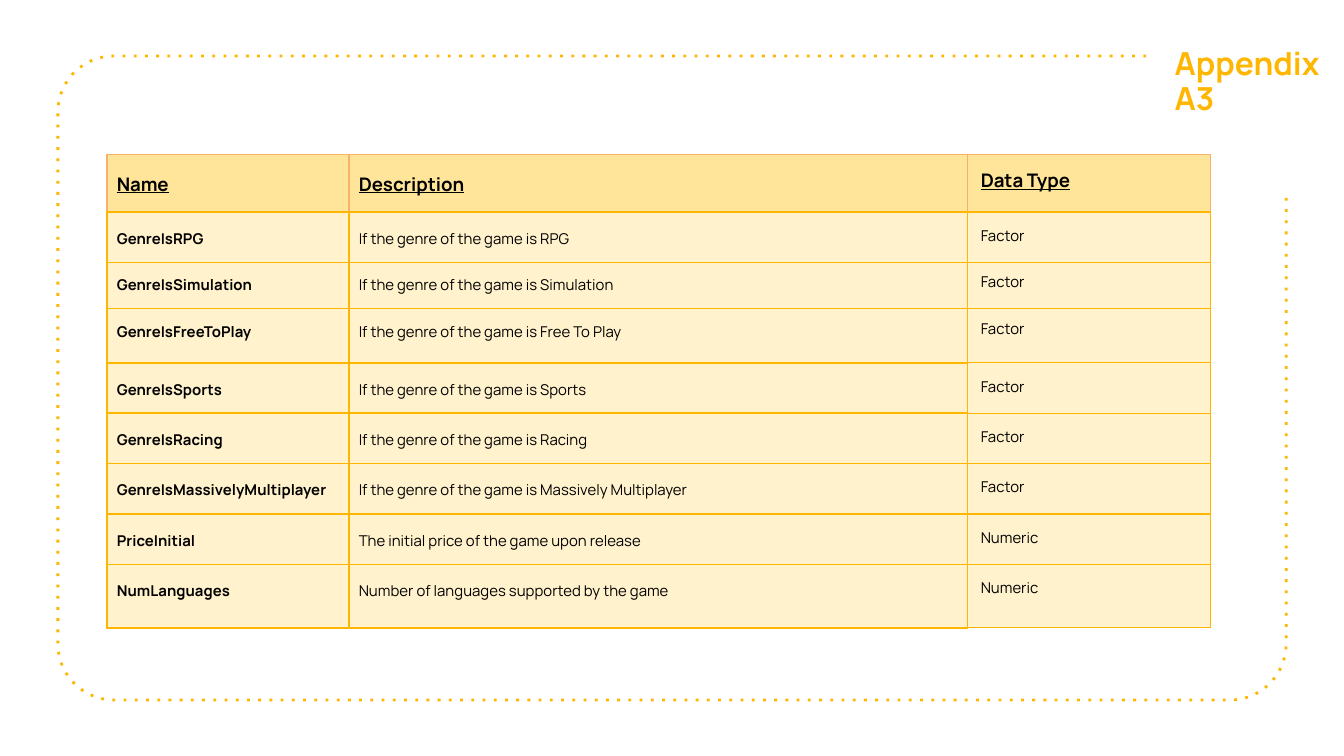
import math

from lxml import etree
from pptx import Presentation
from pptx.dml.color import RGBColor
from pptx.enum import dml, text
from pptx.oxml import ns
from pptx.util import Pt

COLORS = {
    "gold": "FFB600",
    "orange": "F6B26B",
    "header": "FFE599",
    "cream": "FFF2CC",
    "black": "000000",
}
FONT = "Manrope"
COLUMNS = (129.6, 331.2, 130.3)
TABLE_LEFT = 57.4

HEADER = [("Name", "Description", "Data Type")]
RPG = [("GenreIsRPG", "If the genre of the game is RPG", "Factor")]
SIMULATION = [("GenreIsSimulation", "If the genre of the game is Simulation", "Factor")]
VARIABLES = [
    ("GenreIsFreeToPlay", "If the genre of the game is Free To Play", "Factor"),
    ("GenreIsSports", "If the genre of the game is Sports", "Factor"),
    ("GenreIsRacing", "If the genre of the game is Racing", "Factor"),
    ("GenreIsMassivelyMultiplayer",
     "If the genre of the game is Massively Multiplayer", "Factor"),
    ("PriceInitial", "The initial price of the game upon release", "Numeric"),
    ("NumLanguages", "Number of languages supported by the game", "Numeric"),
]


def rgb(name):
    return RGBColor.from_string(COLORS[name])


def style_font(font, size, color, bold, underline=False):
    font.name, font.size = FONT, Pt(size)
    font.bold, font.underline = bold, underline
    font.color.rgb = rgb(color)


def add_frame(s, left, top, width, height, radius=30, top_end=614, right_start=105):
    """Dotted rounded frame, open at its top right corner."""
    right, bottom = left + width, top + height
    corners = [
        (left + radius, top + radius, 270),
        (left + radius, bottom - radius, 180),
        (right - radius, bottom - radius, 90),
    ]
    points = []
    for cx, cy, start in corners:
        for step in range(0, 91, 6):
            angle = math.radians(start - step)
            points.append((Pt(cx + radius * math.cos(angle)),
                           Pt(cy + radius * math.sin(angle))))
    points.append((Pt(right), Pt(right_start)))
    builder = s.shapes.build_freeform(Pt(top_end), Pt(top))
    builder.add_line_segments(points, close=False)
    frame = builder.convert_to_shape()
    frame.shadow.inherit = False
    frame.fill.background()
    frame.line.color.rgb = rgb("gold")
    frame.line.width = Pt(1.5)
    frame.line.dash_style = dml.MSO_LINE.ROUND_DOT
    frame._element.find(".//" + ns.qn("a:prstDash")).set("val", "dot")


def add_title(s, left, top, width, height):
    title = s.shapes.title
    title.left, title.top, title.width, title.height = map(Pt, (left, top, width, height))
    tf = title.text_frame
    tf.text = "Appendix A3"
    tf.word_wrap = True
    tf.auto_size = text.MSO_AUTO_SIZE.NONE
    tf.vertical_anchor = text.MSO_ANCHOR.TOP
    tf.margin_left = tf.margin_right = tf.margin_top = tf.margin_bottom = Pt(7.2)
    p = tf.paragraphs[0]
    p.alignment = text.PP_ALIGN.LEFT
    p.line_spacing = 0.9
    style_font(p.runs[0].font, 17, "gold", True)


def set_borders(cell, color, widths):
    """Border widths run left, right, top, bottom."""
    tcPr = cell._tc.get_or_add_tcPr()
    for side, width in zip("LRTB", widths):
        ln = etree.SubElement(tcPr, ns.qn(f"a:ln{side}"), w=str(Pt(width)))
        fill = etree.SubElement(ln, ns.qn("a:solidFill"))
        etree.SubElement(fill, ns.qn("a:srgbClr"), val=COLORS[color])


def add_variable_table(s, left, top, rows, heights, header=False):
    table = s.shapes.add_table(len(rows), len(COLUMNS), Pt(left), Pt(top),
                               Pt(sum(COLUMNS)), Pt(sum(heights))).table
    table.first_row = table.horz_banding = False
    for column, width in zip(table.columns, COLUMNS):
        column.width = Pt(width)
    for r, (values, height) in enumerate(zip(rows, heights)):
        table.rows[r].height = Pt(height)
        for c, value in enumerate(values):
            cell = table.cell(r, c)
            is_type = c == 2
            set_borders(cell, "orange" if header else "gold",
                        (1, 0.75, 0.75, 0.75) if is_type else (1, 1, 1, 1))
            cell.fill.solid()
            cell.fill.fore_color.rgb = rgb("header" if header else "cream")
            cell.margin_left = cell.margin_right = Pt(7.2 if is_type else 5.2)
            cell.margin_top = cell.margin_bottom = Pt(7.2)
            cell.text_frame.text = value
            p = cell.text_frame.paragraphs[0]
            if not is_type:
                p.line_spacing = 1.15
            style_font(p.runs[0].font, 10 if header else 8, "black",
                       header or c == 0, header)


def main():
    prs = Presentation()
    prs.slide_width, prs.slide_height = Pt(720), Pt(405)
    s = prs.slides.add_slide(prs.slide_layouts[5])

    # Frame and title
    add_frame(s, 31, 30, 658, 345)
    add_title(s, 622, 18.7, 96.5, 38)

    # Stacked tables, from back to front
    add_variable_table(s, TABLE_LEFT, 163.4, VARIABLES, (31, 26, 26, 26, 26, 34))
    add_variable_table(s, TABLE_LEFT, 138.2, SIMULATION, (22.3,))
    add_variable_table(s, TABLE_LEFT, 82.8, HEADER, (31,), header=True)
    add_variable_table(s, TABLE_LEFT, 113.6, RPG, (26,))

    prs.save("out.pptx")


if __name__ == "__main__":
    main()
